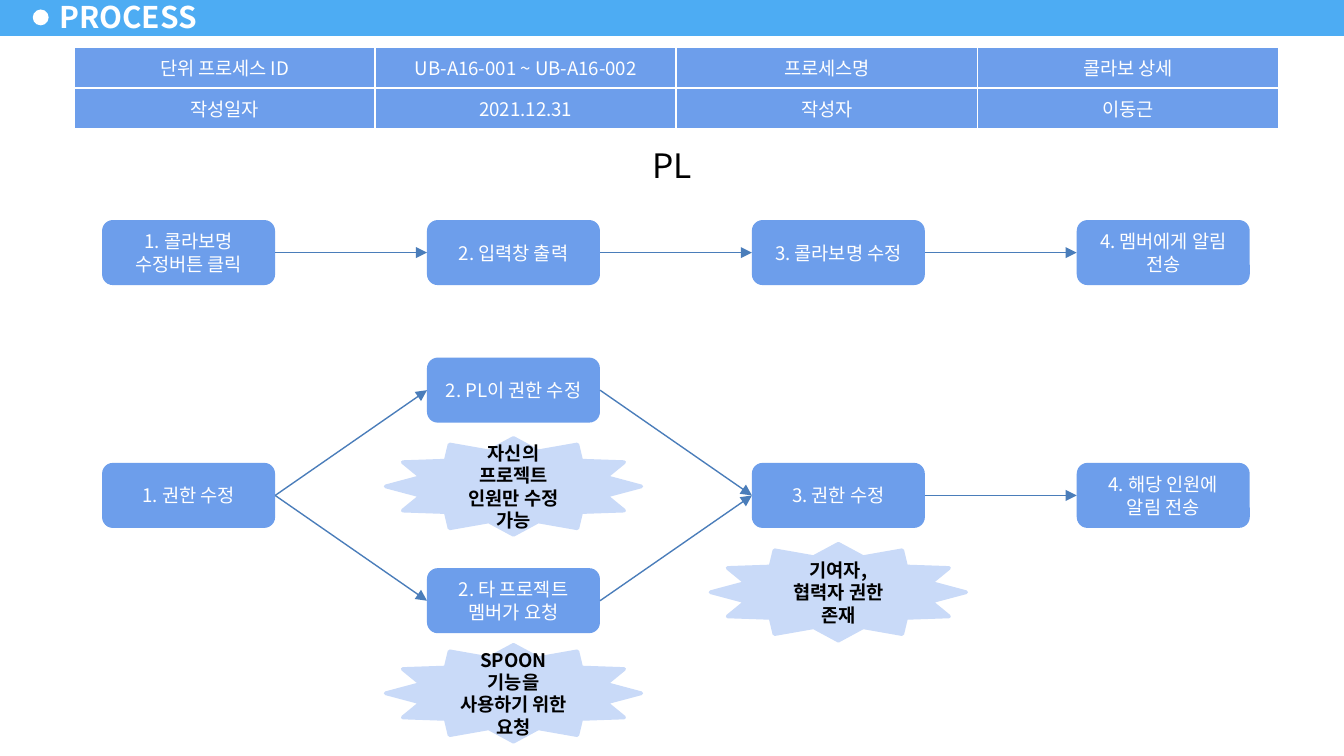
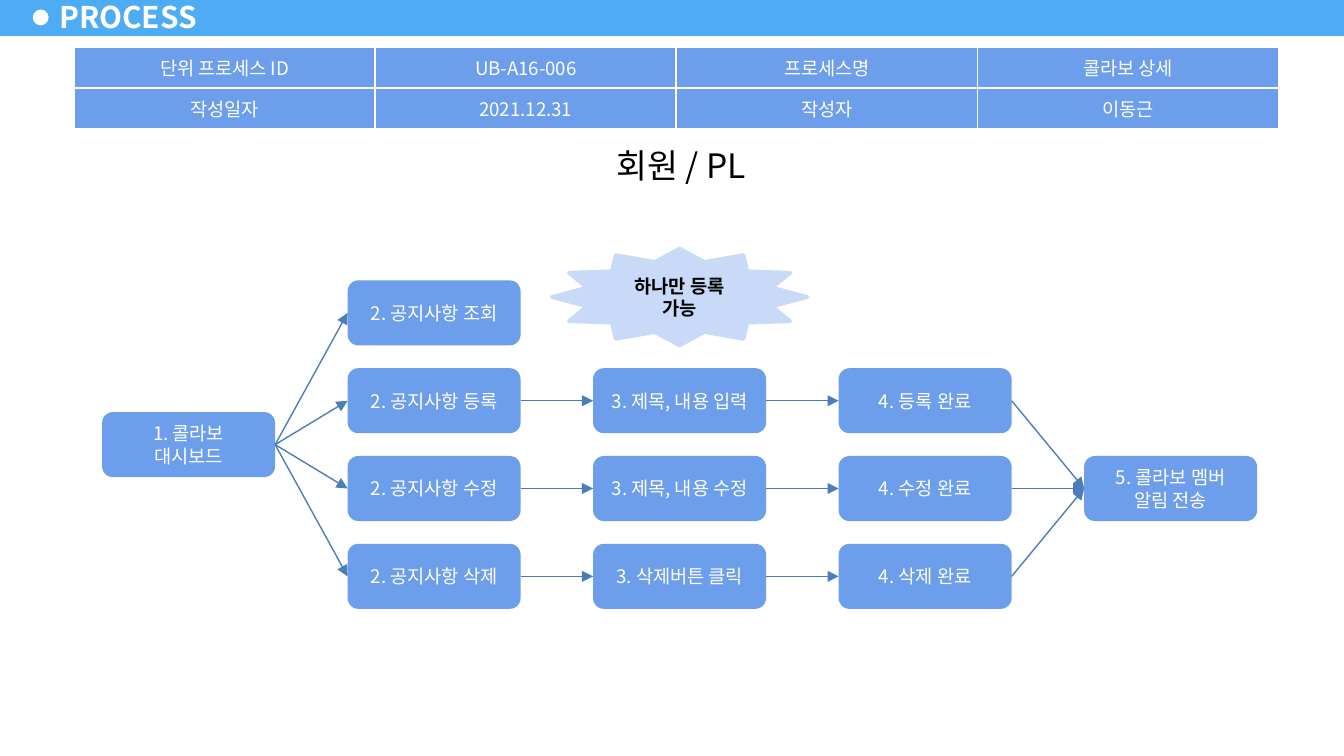
from lxml.etree import SubElement
from pptx import Presentation
from pptx.dml.color import RGBColor
from pptx.enum.shapes import MSO_CONNECTOR as CONN, MSO_SHAPE as SHAPE
from pptx.enum.text import MSO_ANCHOR as ANCHOR, MSO_AUTO_SIZE as FIT, PP_ALIGN as ALIGN
from pptx.oxml.ns import qn
from pptx.util import Cm, Pt

COLORS = {
    "band": "4DACF3",
    "box": "6D9EEB",
    "note": "C9DAF8",
    "arrow": "4A7DBA",
    "white": "FFFFFF",
    "black": "000000",
}
FONT = "Noto Sans CJK KR"
FORMATS = {
    "title": {"size": Pt(16), "bold": True, "name": FONT},
    "lane": {"size": Pt(18), "bold": False, "name": FONT},
    "step": {"size": Pt(10), "bold": False, "name": FONT},
    "note": {"size": Pt(10), "bold": True, "name": FONT},
}
BOX_W, BOX_H = 3.27, 1.23
NOTE_W, NOTE_H = 4.83, 1.83
LEFT_SITE, RIGHT_SITE = 1, 3


def rgb(color):
    return RGBColor.from_string(COLORS[color])


class ProcessDeck:
    """Holds the shared style, the current slide and its grid of steps."""

    def __init__(self):
        self.prs = Presentation()
        self.prs.slide_width, self.prs.slide_height = Cm(25.4), Cm(14.29)
        self.layout = self.prs.slide_layouts[5]
        self.has_band = False

    def put_text(self, tf, text, fmt, color, align=ALIGN.CENTER):
        p = tf.paragraphs[0]
        p.alignment = align
        r = p.add_run()
        r.text = text
        for name, value in FORMATS[fmt].items():
            setattr(r.font, name, value)
        r.font.color.rgb = rgb(color)
        SubElement(r.font._element, qn("a:ea"), typeface=FONT)

    def shape(self, kind, x, y, w, h, fill, line=None):
        sp = self.s.shapes.add_shape(kind, Cm(x), Cm(y), Cm(w), Cm(h))
        sp.shadow.inherit = False
        sp.fill.solid()
        sp.fill.fore_color.rgb = rgb(fill)
        if line:
            sp.line.color.rgb = rgb(line)
            sp.line.width = Pt(2)
        else:
            sp.line.fill.background()
        sp.text_frame.word_wrap = True
        return sp

    def band(self):
        """Draws the header band and moves it to the layout, for all slides."""
        parts = [
            self.shape(SHAPE.RECTANGLE, 0, -0.05, 25.4, 0.73, "band"),
            self.shape(SHAPE.OVAL, 0.62, 0.18, 0.3, 0.3, "white"),
        ]
        for sp in parts:
            self.layout.shapes.element.append(sp._element)
        self.has_band = True

    def title(self, text):
        sp = self.s.shapes.title
        sp.left, sp.top, sp.width, sp.height = Cm(0.89), Cm(-0.1), Cm(3.1), Cm(0.81)
        tf = sp.text_frame
        frame = {"margin_left": Cm(0.23), "margin_right": Cm(0.23),
                 "margin_top": Cm(0.1), "margin_bottom": Cm(0.1),
                 "vertical_anchor": ANCHOR.MIDDLE, "word_wrap": True,
                 "auto_size": FIT.NONE}
        for name, value in frame.items():
            setattr(tf, name, value)
        self.put_text(tf, text, "title", "white", ALIGN.LEFT)

    def border(self, cell):
        for side in ("a:lnL", "a:lnR", "a:lnT", "a:lnB"):
            ln = SubElement(cell._tc.get_or_add_tcPr(), qn(side), w=str(Pt(1)))
            fill = SubElement(ln, qn("a:solidFill"))
            SubElement(fill, qn("a:srgbClr"), val=COLORS["white"])

    def table(self, rows):
        tbl = self.s.shapes.add_table(
            len(rows), len(rows[0]), Cm(1.4), Cm(0.9), Cm(22.76), Cm(1.5)).table
        tbl.first_row = tbl.horz_banding = False
        for row, texts in zip(tbl.rows, rows):
            row.height = Cm(0.75)
            for cell, text in zip(row.cells, texts):
                cell.vertical_anchor = ANCHOR.MIDDLE
                self.border(cell)
                cell.fill.solid()
                cell.fill.fore_color.rgb = rgb("box")
                self.put_text(cell.text_frame, text, "step", "white")

    def process(self, process_id, lane, lane_x, col_step):
        """Starts a slide with its title, summary table and lane heading."""
        self.s = self.prs.slides.add_slide(self.layout)
        self.col_step = col_step
        if not self.has_band:
            self.band()
        self.title("PROCESS")
        self.table([
            ["단위 프로세스 ID", process_id, "프로세스명", "콜라보 상세"],
            ["작성일자", "2021.12.31", "작성자", "이동근"],
        ])
        sp = self.shape(SHAPE.RECTANGLE, lane_x, 2.62, 5.26, 1.04, "white")
        sp.text_frame.vertical_anchor = ANCHOR.TOP
        sp.text_frame.auto_size = FIT.SHAPE_TO_FIT_TEXT
        self.put_text(sp.text_frame, lane, "lane", "black")

    def col_x(self, col):
        return 1.93 + col * self.col_step

    def step(self, col, y, text):
        sp = self.shape(SHAPE.ROUNDED_RECTANGLE, self.col_x(col), y, BOX_W, BOX_H, "box")
        self.put_text(sp.text_frame, text, "step", "white")
        return sp

    def note(self, col, y, text):
        """Places a star centred on a column of steps."""
        x = self.col_x(col) - (NOTE_W - BOX_W) / 2
        sp = self.shape(SHAPE.STAR_12_POINT, x, y, NOTE_W, NOTE_H, "note", "note")
        sp.adjustments[0] = 0.375
        self.put_text(sp.text_frame, text, "note", "black")

    def arrow(self, start, end):
        cx = self.s.shapes.add_connector(CONN.STRAIGHT, 0, 0, 0, 0)
        cx.begin_connect(start, RIGHT_SITE)
        cx.end_connect(end, LEFT_SITE)
        cx.line.color.rgb = rgb("arrow")
        cx.line.width = Pt(0.75)
        SubElement(cx.line._get_or_add_ln(), qn("a:tailEnd"), type="triangle")
        SubElement(cx._element.spPr, qn("a:effectLst"))

    def chain(self, *steps):
        for start, end in zip(steps, steps[1:]):
            self.arrow(start, end)


def rename_and_rights(deck):
    deck.process("UB-A16-001 ~ UB-A16-002", "PL", 10.08, 6.14)
    rename = ["1. 콜라보명 수정버튼 클릭", "2. 입력창 출력",
              "3. 콜라보명 수정", "4. 멤버에게 알림 전송"]
    deck.chain(*[deck.step(col, 4.16, text) for col, text in enumerate(rename)])

    upper, middle, lower = [6.76 + 1.99 * i for i in range(3)]
    ask = deck.step(0, middle, "1. 권한 수정")
    by_lead = deck.step(1, upper, "2. PL이 권한 수정")
    by_member = deck.step(1, lower, "2. 타 프로젝트 멤버가 요청")
    change = deck.step(2, middle, "3. 권한 수정")
    notify = deck.step(3, middle, "4. 해당 인원에 알림 전송")
    deck.chain(ask, by_lead, change, notify)
    deck.chain(ask, by_member, change)
    deck.note(1, 8.28, "자신의 프로젝트 인원만 수정 가능")
    deck.note(1, 12.19, "SPOON기능을 사용하기 위한 요청")
    deck.note(2, 10.28, "기여자, 협력자 권한 존재")


def notices(deck):
    deck.process("UB-A16-006", "회원 / PL", 10.24, 4.64)
    top, row_step = 5.3, 1.66
    flows = [
        ["2. 공지사항 조회"],
        ["2. 공지사항 등록", "3. 제목, 내용 입력", "4. 등록 완료"],
        ["2. 공지사항 수정", "3. 제목, 내용 수정", "4. 수정 완료"],
        ["2. 공지사항 삭제", "3. 삭제버튼 클릭", "4. 삭제 완료"],
    ]
    dashboard = deck.step(0, top + 1.5 * row_step, "1. 콜라보 대시보드")
    notify = deck.step(4, top + 2 * row_step, "5. 콜라보 멤버 알림 전송")
    for row, texts in enumerate(flows):
        steps = [deck.step(col, top + row * row_step, text)
                 for col, text in enumerate(texts, 1)]
        deck.chain(dashboard, *steps)
        if len(steps) > 1:
            deck.arrow(steps[-1], notify)
    deck.note(2, 4.7, "하나만 등록 가능")


def main():
    deck = ProcessDeck()
    rename_and_rights(deck)
    notices(deck)
    deck.prs.save("out.pptx")


if __name__ == "__main__":
    main()
